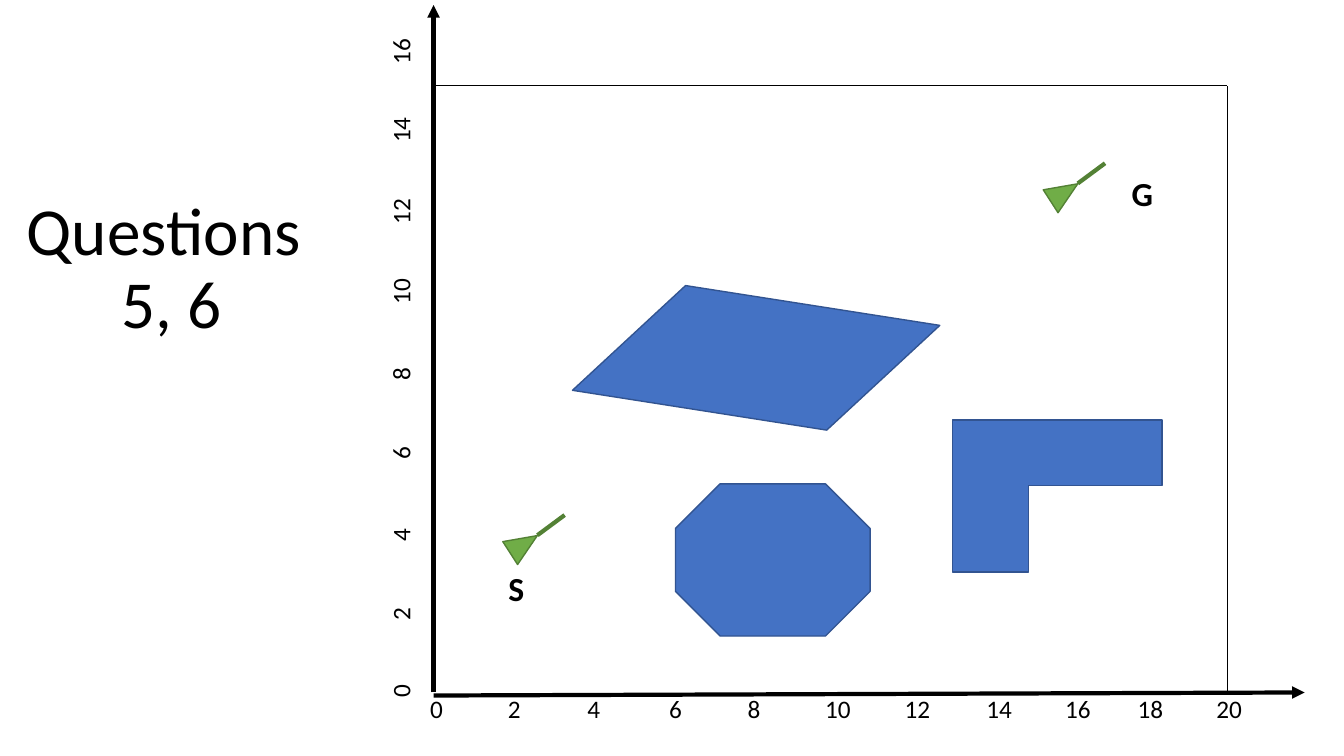
from pptx import Presentation
from pptx.dml.color import RGBColor
from pptx.enum import shapes, text
from pptx.oxml.ns import qn
from pptx.util import Inches, Pt

BLACK = RGBColor(0x00, 0x00, 0x00)
BLUE = RGBColor(0x44, 0x72, 0xC4)
DARK_BLUE = RGBColor(0x32, 0x54, 0x91)
GREEN = RGBColor(0x70, 0xAD, 0x47)
DARK_GREEN = RGBColor(0x53, 0x81, 0x35)
SHAPE = shapes.MSO_SHAPE

prs = Presentation()
prs.slide_width, prs.slide_height = Inches(13.33), Inches(7.5)
s = prs.slides.add_slide(prs.slide_layouts[5])


def add_line(x1, y1, x2, y2, color, width, arrow=False):
    line = s.shapes.add_connector(shapes.MSO_CONNECTOR.STRAIGHT,
                                  Inches(x1), Inches(y1), Inches(x2), Inches(y2))
    line.line.color.rgb = color
    line.line.width = Pt(width)
    sp_pr = line._element.spPr
    if arrow:
        ln = sp_pr.find(qn("a:ln"))
        ln.append(ln.makeelement(qn("a:tailEnd"), {"type": "triangle"}))
    sp_pr.append(sp_pr.makeelement(qn("a:effectLst"), {}))


def add_shape(kind, x, y, w, h, fill, outline, rotation=0, adjustments=()):
    sp = s.shapes.add_shape(kind, Inches(x), Inches(y), Inches(w), Inches(h))
    sp.rotation = rotation
    sp.shadow.inherit = False
    sp.fill.solid()
    sp.fill.fore_color.rgb = fill
    sp.line.color.rgb = outline
    sp.line.width = Pt(1)
    for i, value in enumerate(adjustments):
        sp.adjustments[i] = value


# Title
title = s.shapes.title
title.left, title.top = Inches(-0.03), Inches(1.91)
title.width, title.height = Inches(3.46), Inches(2.02)
tf = title.text_frame
tf.text = "Questions \n5, 6"
tf.word_wrap = True
tf.auto_size = text.MSO_AUTO_SIZE.NONE
tf.vertical_anchor = text.MSO_ANCHOR.TOP
for p in tf.paragraphs:
    p.alignment = text.PP_ALIGN.CENTER
    p.line_spacing = 0.9
    p.font.name, p.font.size = "Calibri", Pt(48)
    p.font.color.rgb = BLACK

# Axes
add_line(4.3, 6.9, 12.94, 6.87, BLACK, 3, arrow=True)
add_line(4.3, 6.87, 4.3, 0.05, BLACK, 3, arrow=True)

# Axis numbers and pose names: wording, centre, size, bold, rotation
x_centres = [4.33, 5.1, 5.89, 6.7, 7.48, 8.31, 9.1, 9.91, 10.69, 11.41, 12.19]
y_centres = [6.86, 6.09, 5.31, 4.49, 3.71, 2.89, 2.1, 1.29, 0.51]
labels = [(str(2 * i), x, 7.03, 18, False, 0) for i, x in enumerate(x_centres)]
labels += [(str(2 * i), 3.97, y, 18, False, 270) for i, y in enumerate(y_centres)]
labels += [("S", 5.12, 5.83, 24, True, 0), ("G", 11.33, 1.91, 24, True, 0)]
for wording, x, y, size, bold, rotation in labels:
    w, h = 0.5, size / 45
    box = s.shapes.add_textbox(Inches(x - w / 2), Inches(y - h / 2), Inches(w), Inches(h))
    box.rotation = rotation
    tf = box.text_frame
    tf.word_wrap = True
    tf.vertical_anchor = text.MSO_ANCHOR.MIDDLE
    p = tf.paragraphs[0]
    p.text = wording
    p.alignment = text.PP_ALIGN.CENTER
    p.font.name, p.font.size, p.font.bold = "Calibri", Pt(size), bold
    p.font.color.rgb = BLACK

# Obstacles
add_shape(SHAPE.PARALLELOGRAM, 5.75, 2.95, 3.5, 1.2, BLUE, DARK_BLUE, 8.9, [0.79])
add_shape(SHAPE.CORNER, 9.73, 3.88, 1.51, 2.08, BLUE, DARK_BLUE, 90, [0.5, 0.43])
add_shape(SHAPE.OCTAGON, 6.7, 4.8, 1.93, 1.51, BLUE, DARK_BLUE)

# Robot at the goal and at the start
for x, y in [(10.42, 1.75), (5.06, 5.24)]:
    add_shape(SHAPE.ISOSCELES_TRIANGLE, x, y, 0.27, 0.32, GREEN, DARK_GREEN, 57.2)
    add_line(x + 0.27, y + 0.07, x + 0.54, y - 0.13, DARK_GREEN, 3)

# Workspace border
add_line(4.3, 0.85, 12.17, 0.85, BLACK, 0.5)
add_line(12.17, 6.87, 12.17, 0.85, BLACK, 0.5)

prs.save("out.pptx")
